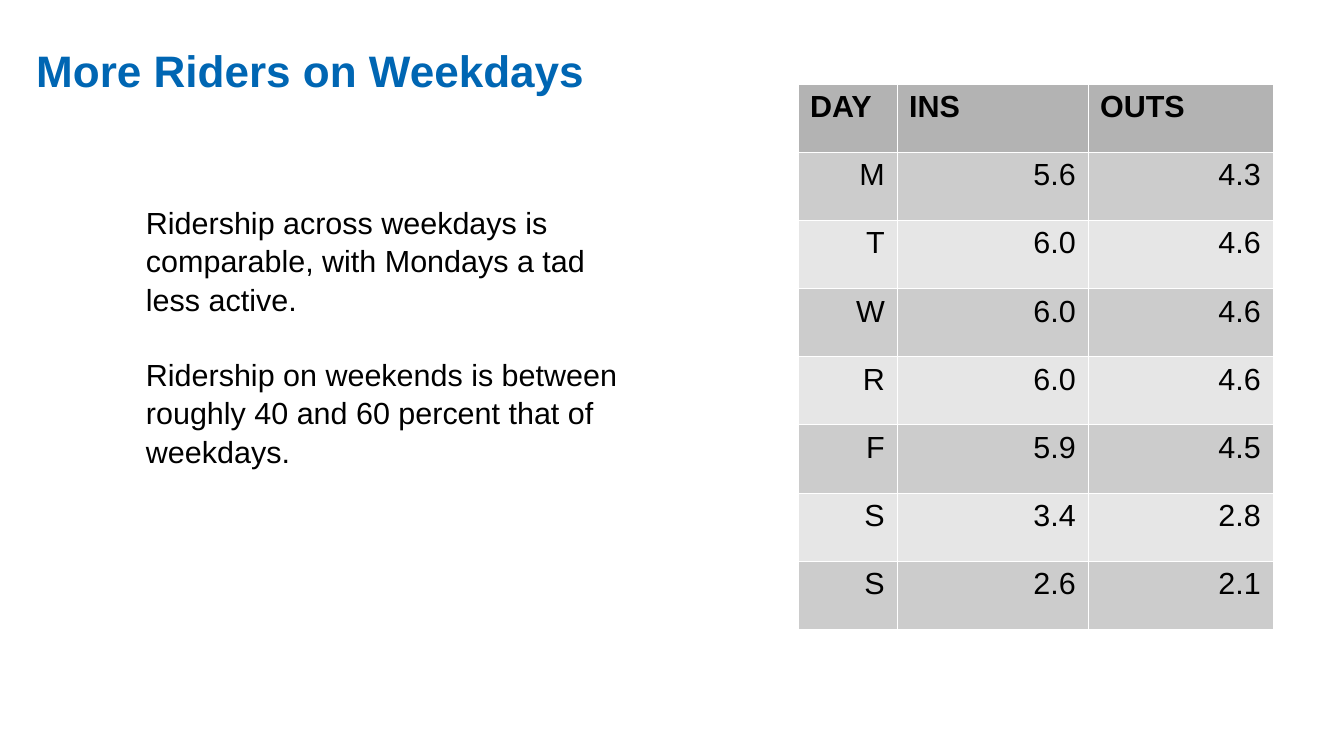
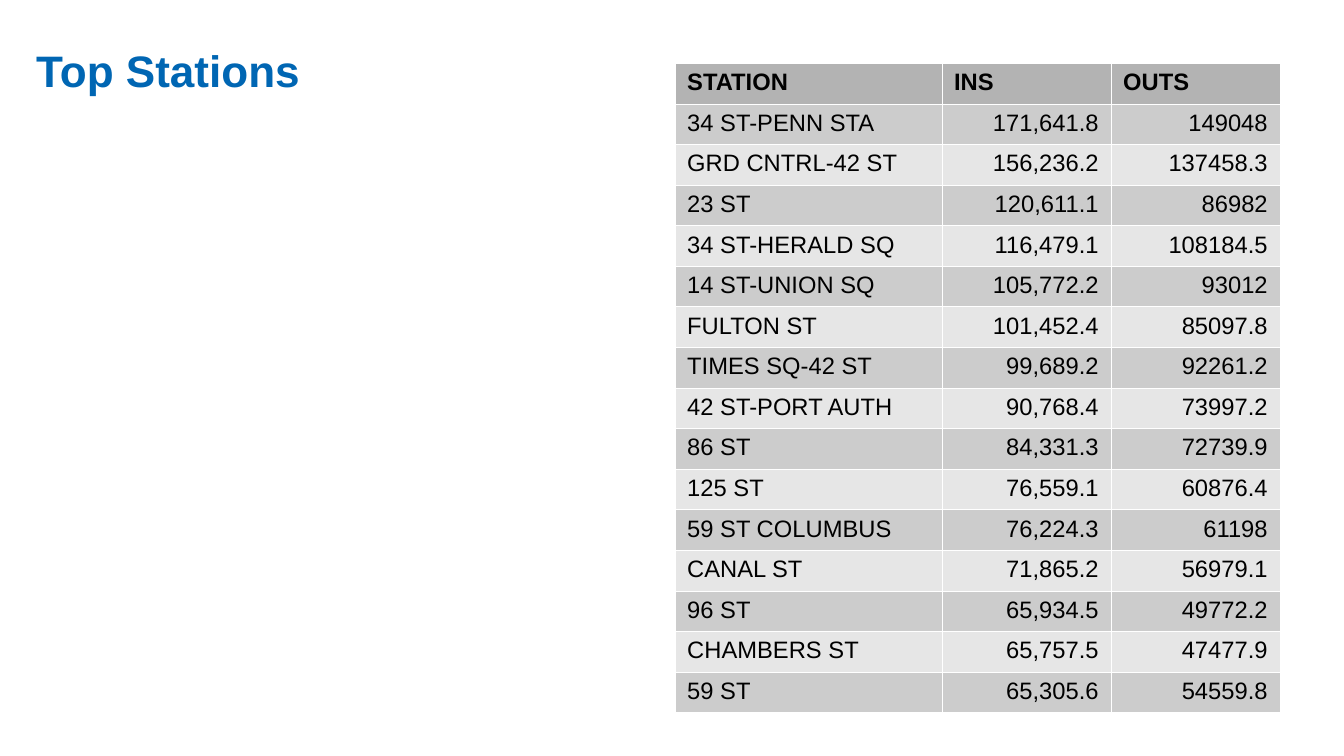
from pptx import Presentation
from pptx.dml.color import RGBColor
from pptx.enum.text import MSO_ANCHOR, MSO_AUTO_SIZE, PP_ALIGN
from pptx.oxml import parse_xml
from pptx.oxml.ns import nsdecls
from pptx.util import Pt

EMU_PER_PX = 7495
FONT = "Arial"
COLORS = {
    "background": "FFFFFF",
    "title": "0066B3",
    "text": "000000",
    "header": "B3B3B3",
    "odd_row": "CCCCCC",
    "even_row": "E6E6E6",
    "border": "FFFFFF",
}
BORDER_EMU = 762
TITLE_SIZE = 26
BODY_SIZE = 18

DAY_ROWS = [
    ("DAY", "INS", "OUTS"),
    ("M", "5.6", "4.3"),
    ("T", "6.0", "4.6"),
    ("W", "6.0", "4.6"),
    ("R", "6.0", "4.6"),
    ("F", "5.9", "4.5"),
    ("S", "3.4", "2.8"),
    ("S", "2.6", "2.1"),
]

STATION_ROWS = [
    ("STATION", "INS", "OUTS"),
    ("34 ST-PENN STA", "171,641.8", "149048"),
    ("GRD CNTRL-42 ST", "156,236.2", "137458.3"),
    ("23 ST", "120,611.1", "86982"),
    ("34 ST-HERALD SQ", "116,479.1", "108184.5"),
    ("14 ST-UNION SQ", "105,772.2", "93012"),
    ("FULTON ST", "101,452.4", "85097.8"),
    ("TIMES SQ-42 ST", "99,689.2", "92261.2"),
    ("42 ST-PORT AUTH", "90,768.4", "73997.2"),
    ("86 ST", "84,331.3", "72739.9"),
    ("125 ST", "76,559.1", "60876.4"),
    ("59 ST COLUMBUS", "76,224.3", "61198"),
    ("CANAL ST", "71,865.2", "56979.1"),
    ("96 ST", "65,934.5", "49772.2"),
    ("CHAMBERS ST", "65,757.5", "47477.9"),
    ("59 ST", "65,305.6", "54559.8"),
]


def px(length):
    return length * EMU_PER_PX


def color(name):
    return RGBColor.from_string(COLORS[name])


class Deck:
    def __init__(self, width, height):
        self.presentation = Presentation()
        self.presentation.slide_width = px(width)
        self.presentation.slide_height = px(height)
        self.slide = None

    def add_slide(self, title, width, height):
        layout = self.presentation.slide_layouts[5]
        self.slide = self.presentation.slides.add_slide(layout)
        background = self.slide.background.fill
        background.solid()
        background.fore_color.rgb = color("background")
        shape = self.slide.shapes.title
        shape.left, shape.top = px(24), px(37)
        shape.width, shape.height = px(width), px(height)
        text_frame = shape.text_frame
        text_frame.text = title
        self.format_frame(text_frame)
        self.format_paragraph(text_frame.paragraphs[0], TITLE_SIZE, "title", bold=True)

    def format_frame(self, text_frame):
        text_frame.word_wrap = True
        text_frame.auto_size = MSO_AUTO_SIZE.NONE
        text_frame.vertical_anchor = MSO_ANCHOR.TOP

    def format_paragraph(self, paragraph, size, color_name="text", bold=False,
                         alignment=PP_ALIGN.LEFT):
        paragraph.alignment = alignment
        for run in paragraph.runs:
            run.font.name = FONT
            run.font.size = Pt(size)
            run.font.bold = bold
            run.font.color.rgb = color(color_name)

    def add_text(self, left, top, width, height, texts):
        shape = self.slide.shapes.add_textbox(px(left), px(top), px(width), px(height))
        text_frame = shape.text_frame
        text_frame.text = "\n".join(texts)
        self.format_frame(text_frame)
        for paragraph in text_frame.paragraphs:
            self.format_paragraph(paragraph, BODY_SIZE)
            paragraph.line_spacing = 1.05
        for paragraph in text_frame.paragraphs[:-1]:
            paragraph.space_after = Pt(21.6)

    def add_table(self, left, top, column_widths, height, rows, size, label_alignment):
        frame = self.slide.shapes.add_table(
            len(rows), len(column_widths), px(left), px(top),
            px(sum(column_widths)), px(height))
        table = frame.table
        for column, width in zip(table.columns, column_widths):
            column.width = px(width)
        for row_index, values in enumerate(rows):
            is_header = row_index == 0
            fill_name = "header" if is_header else ("even_row", "odd_row")[row_index % 2]
            for column_index, value in enumerate(values):
                if is_header:
                    alignment = PP_ALIGN.LEFT
                else:
                    alignment = PP_ALIGN.RIGHT if column_index else label_alignment
                cell = table.cell(row_index, column_index)
                cell.text_frame.text = value
                self.format_paragraph(cell.text_frame.paragraphs[0], size,
                                      bold=is_header, alignment=alignment)
                self.format_cell(cell, fill_name)

    def format_cell(self, cell, fill_name):
        cell.fill.solid()
        cell.fill.fore_color.rgb = color(fill_name)
        properties = cell._tc.get_or_add_tcPr()
        for index, side in enumerate("LRTB"):
            border = parse_xml(
                f'<a:ln{side} {nsdecls("a")} w="{BORDER_EMU}"><a:solidFill>'
                f'<a:srgbClr val="{COLORS["border"]}"/></a:solidFill></a:ln{side}>')
            properties.insert(index, border)


def main():
    deck = Deck(1344, 756)

    deck.add_slide("More Riders on Weekdays", 744, 160)
    deck.add_table(798, 84, (99, 191, 185), 545, DAY_ROWS, 18, PP_ALIGN.RIGHT)
    deck.add_text(134, 196, 525, 251, [
        "Ridership across weekdays is comparable, with Mondays a tad less active.",
        "Ridership on weekends is between roughly 40 and 60 percent that of weekdays.",
    ])

    deck.add_slide("Top Stations", 354, 111)
    deck.add_table(675, 63, (267, 169, 169), 650, STATION_ROWS, 14, PP_ALIGN.LEFT)

    deck.presentation.save("out.pptx")


if __name__ == "__main__":
    main()
